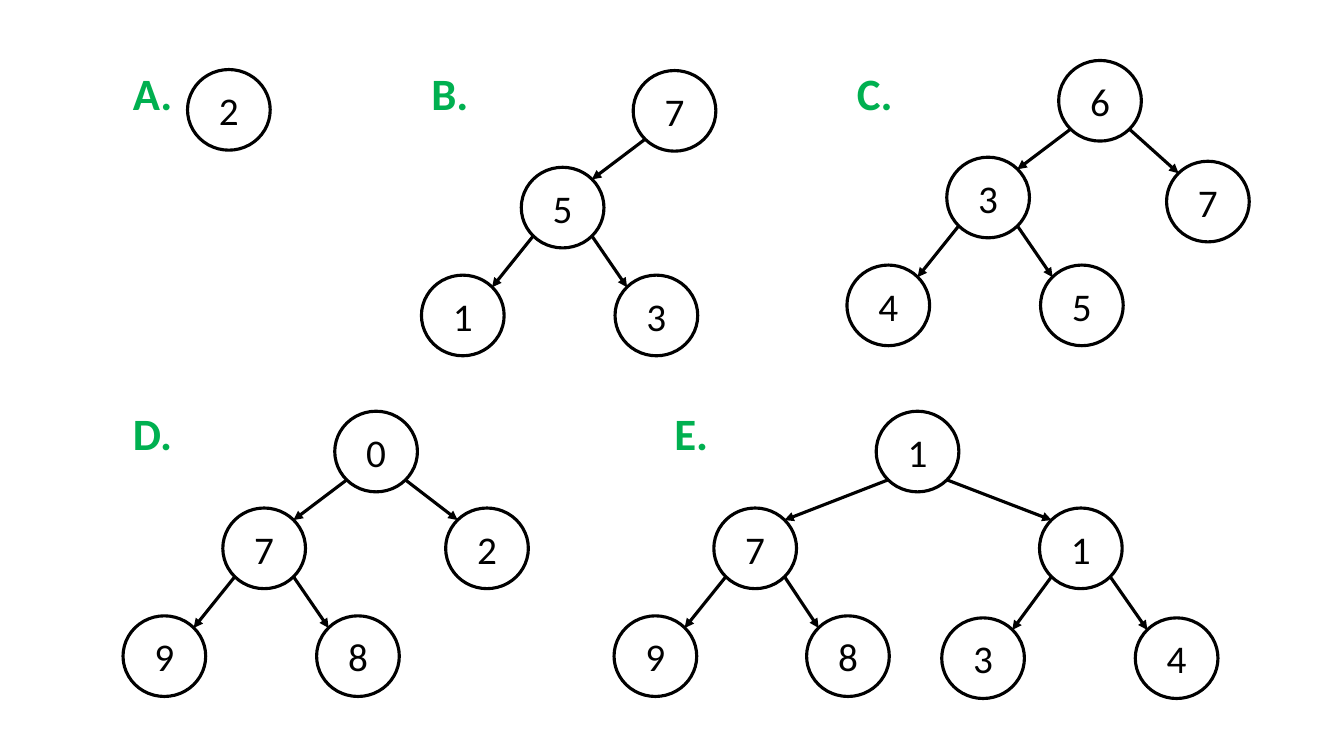
from dataclasses import dataclass
from math import sqrt
from typing import Optional

from lxml.etree import SubElement
from pptx import Presentation
from pptx.dml.color import RGBColor
from pptx.enum.shapes import MSO_CONNECTOR, MSO_SHAPE
from pptx.enum.text import MSO_ANCHOR, MSO_AUTO_SIZE, PP_ALIGN
from pptx.oxml.ns import qn
from pptx.util import Pt

PX = 9144  # EMU per px, 100 px to the inch
SLIDE_W, SLIDE_H = 1333, 750
NODE_W, NODE_H = 82, 80
LABEL_W, LABEL_H = 63, 64
LINE_PT = 2.25
BLACK, GREEN = "000000", "00B050"
NODE_FONT = {"name": "Calibri", "size": Pt(28)}
LABEL_FONT = {"name": "Calibri", "size": Pt(32), "bold": True}

# Distance from the box of an ellipse to its 45-degree points
DIAGONAL = (1 - 1 / sqrt(2)) / 2
INSET_X, INSET_Y = round(NODE_W * DIAGONAL), round(NODE_H * DIAGONAL)


@dataclass
class Node:
    value: int
    x: int
    y: int
    left: Optional["Node"] = None
    right: Optional["Node"] = None


@dataclass
class Tree:
    label: str
    x: int
    y: int
    root: Node


TREES = [
    Tree("A.", 122, 60, Node(2, 186, 69)),
    Tree("B.", 418, 60,
         Node(7, 628, 70,
              left=Node(5, 517, 166, Node(1, 418, 273), Node(3, 610, 273)))),
    Tree("C.", 840, 60,
         Node(6, 1050, 60,
              Node(3, 939, 156, Node(4, 840, 263), Node(5, 1032, 263)),
              Node(7, 1157, 160))),
    Tree("D.", 122, 398,
         Node(0, 332, 408,
              Node(7, 221, 504, Node(9, 122, 611), Node(8, 314, 611)),
              Node(2, 442, 504))),
    Tree("E.", 659, 398,
         Node(1, 869, 408,
              Node(7, 708, 504, Node(9, 609, 611), Node(8, 800, 611)),
              Node(1, 1031, 504, Node(3, 934, 613), Node(4, 1126, 613)))),
]


def px(*lengths: int) -> list[int]:
    return [length * PX for length in lengths]


def rgb(color: str) -> RGBColor:
    return RGBColor.from_string(color)


def write(tf, text: str, color: str, font: dict) -> None:
    r = tf.paragraphs[0].add_run()
    r.text = text
    for name, value in font.items():
        setattr(r.font, name, value)
    r.font.color.rgb = rgb(color)


def style_line(line) -> None:
    line.color.rgb = rgb(BLACK)
    line.width = Pt(LINE_PT)


def draw_label(slide, tree: Tree) -> None:
    tf = slide.shapes.add_textbox(*px(tree.x, tree.y, LABEL_W, LABEL_H)).text_frame
    tf.word_wrap = True
    tf.auto_size = MSO_AUTO_SIZE.SHAPE_TO_FIT_TEXT
    write(tf, tree.label, GREEN, LABEL_FONT)


def draw_arrow(slide, parent: Node, child: Node, to_left: bool) -> None:
    """Join a lower diagonal point of the parent to the facing upper one of the child."""
    near, far = INSET_X, NODE_W - INSET_X
    start, end = (near, far) if to_left else (far, near)
    sp = slide.shapes.add_connector(
        MSO_CONNECTOR.STRAIGHT,
        *px(parent.x + start, parent.y + NODE_H - INSET_Y,
            child.x + end, child.y + INSET_Y))
    style_line(sp.line)
    SubElement(sp.line._get_or_add_ln(), qn("a:tailEnd"), type="triangle")
    SubElement(sp._element.spPr, qn("a:effectLst"))


def draw_node(slide, node: Node) -> None:
    """Draw the node and everything below it."""
    sp = slide.shapes.add_shape(
        MSO_SHAPE.OVAL, *px(node.x, node.y, NODE_W, NODE_H))
    sp.shadow.inherit = False
    sp.fill.background()
    style_line(sp.line)
    tf = sp.text_frame
    tf.vertical_anchor = MSO_ANCHOR.MIDDLE
    tf.paragraphs[0].alignment = PP_ALIGN.CENTER
    write(tf, str(node.value), BLACK, NODE_FONT)
    for child, to_left in ((node.left, True), (node.right, False)):
        if child:
            draw_node(slide, child)
            draw_arrow(slide, node, child, to_left)


def main() -> None:
    prs = Presentation()
    prs.slide_width, prs.slide_height = px(SLIDE_W, SLIDE_H)
    slide = prs.slides.add_slide(prs.slide_layouts[6])
    for tree in TREES:
        draw_label(slide, tree)
        draw_node(slide, tree.root)
    prs.save("out.pptx")


if __name__ == "__main__":
    main()
